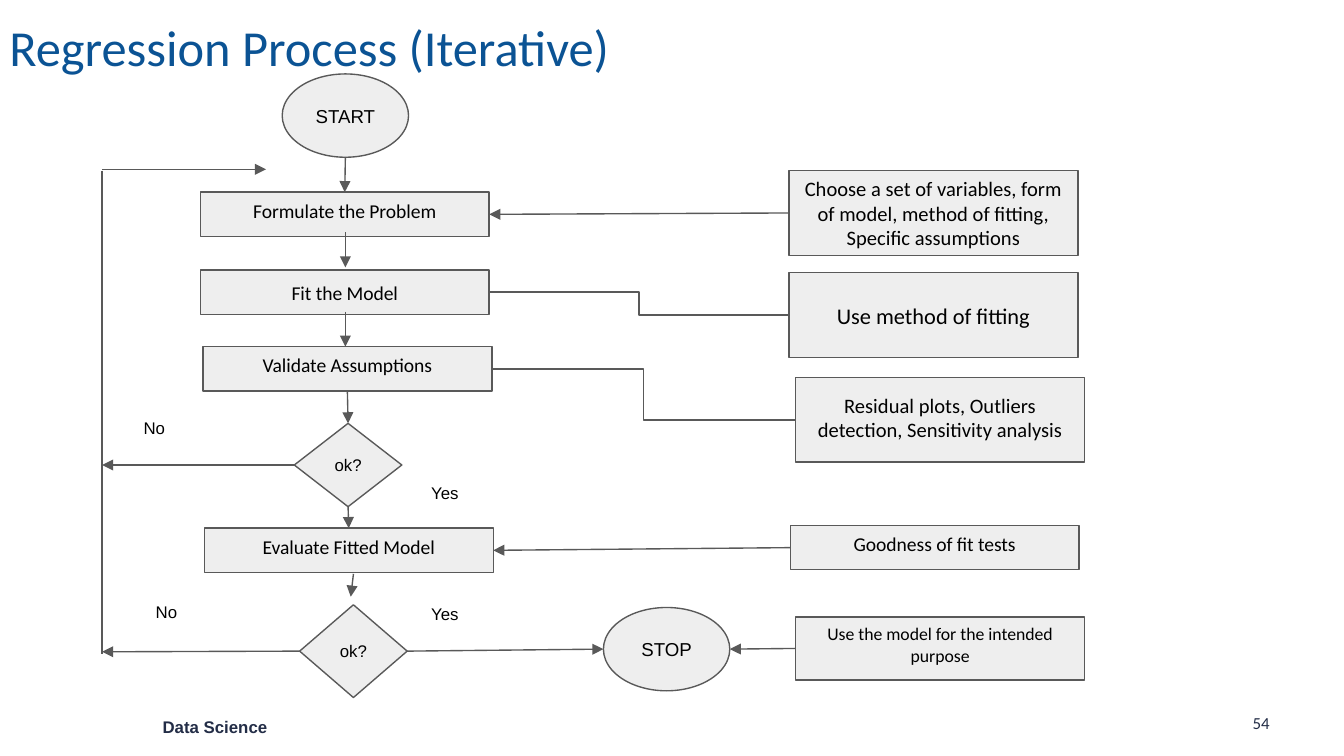
from pptx import Presentation
from pptx.dml.color import RGBColor
from pptx.enum.shapes import MSO_CONNECTOR as Connector, MSO_SHAPE as Shape
from pptx.enum.text import MSO_ANCHOR as Anchor, MSO_AUTO_SIZE as AutoSize, PP_ALIGN as Align
from pptx.oxml.ns import qn
from pptx.util import Inches, Pt
from lxml.etree import SubElement

TITLE = "Regression Process (Iterative)"
BLACK, GRAY, PALE, BLUE, NAVY = "000000", "595959", "EEEEEE", "0B5394", "232D47"
STEP, NOTE, ROUND = (2.15, 0.33), (2.15, 0.63), (0.94, 0.62)
LOOP_X, FLOW_X = 0.76, 2.57

# name: preset, text, left, top, (width, height), font, size, upward text shift
NODES = {
    "start": (Shape.OVAL, "START", 2.1, 0.55, ROUND, "Arial", 10, 0),
    "formulate": (Shape.RECTANGLE, "Formulate the Problem", 1.49, 1.43, STEP, "Calibri", 10.5, 0.03),
    "fit": (Shape.RECTANGLE, "Fit the Model", 1.49, 2.01, STEP, "Calibri", 10.5, 0),
    "validate": (Shape.RECTANGLE, "Validate Assumptions", 1.51, 2.58, STEP, "Calibri", 10.5, 0.03),
    "valid": (Shape.DIAMOND, "ok?", 2.19, 3.15, (0.8, 0.62), "Arial", 9, 0),
    "evaluate": (Shape.RECTANGLE, "Evaluate Fitted Model", 1.52, 3.93, STEP, "Calibri", 10.5, 0.03),
    "good": (Shape.DIAMOND, "ok?", 2.23, 4.5, (0.8, 0.69), "Arial", 9, 0),
    "stop": (Shape.OVAL, "STOP", 4.49, 4.52, ROUND, "Arial", 10, 0),
    "choices": (Shape.RECTANGLE,
                "Choose a set of variables, form of model, method of fitting, Specific assumptions",
                5.87, 1.27, NOTE, "Calibri", 11, 0),
    "method": (Shape.RECTANGLE, "Use method of fitting", 5.87, 2.03, NOTE, "Calibri", 12, 0),
    "checks": (Shape.RECTANGLE, "Residual plots, Outliers detection, Sensitivity analysis",
               5.92, 2.81, NOTE, "Calibri", 11, 0.02),
    "tests": (Shape.RECTANGLE, "Goodness of fit tests", 5.88, 3.91, STEP, "Calibri", 10.5, 0.03),
    "use": (Shape.RECTANGLE, "Use the model for the intended purpose",
            5.92, 4.59, (2.15, 0.47), "Calibri", 9.5, 0.03),
}
ARROWS = [
    (("start", "bottom"), ("formulate", "top")),
    ((FLOW_X, 1.73), (FLOW_X, 1.99)),
    ((FLOW_X, 2.32), (FLOW_X, 2.58)),
    (("validate", "bottom"), ("valid", "top")),
    (("valid", "bottom"), ("evaluate", "top")),
    ((2.63, 4.27), (2.61, 4.44)),
    (("good", "right"), ("stop", "left")),
    (("choices", "left"), ("formulate", "right")),
    (("tests", "left"), ("evaluate", "right")),
    (("use", "left"), ("stop", "right")),
    (("valid", "left"), (LOOP_X, 3.46)),
    (("good", "left"), (LOOP_X, 4.85)),
    ((LOOP_X, 1.26), (1.98, 1.26)),
]
ELBOWS = [(("method", "left"), ("fit", "right")), (("checks", "left"), ("validate", "right"))]
LABELS = [("Yes", 3.11, 3.51), ("Yes", 3.11, 4.41), ("No", 1.06, 4.4), ("No", 0.97, 3.03)]
SIDES = {"top": (0.5, 0), "bottom": (0.5, 1), "left": (0, 0.5), "right": (1, 0.5)}


def color(value):
    return RGBColor.from_string(value)


def format_text(shape, text, font, size, ink, insets, align=Align.LEFT, anchor=Anchor.TOP, bold=False):
    frame = shape.text_frame
    frame.text = text
    frame.word_wrap = True
    frame.auto_size = AutoSize.NONE
    frame.vertical_anchor = anchor
    frame.margin_left, frame.margin_top, frame.margin_right, frame.margin_bottom = map(Inches, insets)
    paragraph = frame.paragraphs[0]
    paragraph.alignment = align
    run_font = paragraph.runs[0].font
    run_font.name, run_font.size, run_font.bold = font, Pt(size), bold
    run_font.color.rgb = color(ink)
    return paragraph


def add_node(slide, preset, text, left, top, size, font, points, shift):
    shape = slide.shapes.add_shape(preset, *map(Inches, (left, top, *size)))
    shape.shadow.inherit = False
    shape.fill.solid()
    shape.fill.fore_color.rgb = color(PALE)
    shape.line.color.rgb = color(GRAY)
    shape.line.width = Pt(0.75)
    side = 0.1 if preset == Shape.RECTANGLE else 0
    format_text(shape, text, font, points, BLACK, (side, 0, side, 2 * shift), Align.CENTER, Anchor.MIDDLE)


def add_label(slide, text, left, top, width, height, font, size, ink, insets, bold=False):
    box = slide.shapes.add_textbox(*map(Inches, (left, top, width, height)))
    format_text(box, text, font, size, ink, insets, bold=bold)


def locate(end):
    name, side = end
    if name not in NODES:
        return end
    left, top, (width, height) = NODES[name][2:5]
    across, down = SIDES[side]
    return left + across * width, top + down * height


def add_link(slide, begin, end, kind=Connector.STRAIGHT, arrow=False):
    points = map(Inches, (*locate(begin), *locate(end)))
    connector = slide.shapes.add_connector(kind, *points)
    connector.line.color.rgb = color(GRAY)
    connector.line.width = Pt(0.75)
    properties = connector._element.spPr
    if arrow:
        SubElement(properties.find(qn("a:ln")), qn("a:tailEnd"), type="triangle")
    SubElement(properties, qn("a:effectLst"))


def main():
    presentation = Presentation()
    presentation.slide_width = Inches(10)
    presentation.slide_height = presentation.slide_width * 9 // 16
    slide = presentation.slides.add_slide(presentation.slide_layouts[5])

    title = slide.shapes.title
    title.left, title.top, title.width, title.height = map(Inches, (0, 0.06, 9.32, 0.63))
    small_insets = (0.07, 0.04, 0.07, 0.04)
    heading = format_text(title, TITLE, "Calibri", 27, BLUE, small_insets, anchor=Anchor.MIDDLE)
    heading.line_spacing = 0.9

    for node in NODES.values():
        add_node(slide, *node)
    for begin, end in ARROWS:
        add_link(slide, begin, end, arrow=True)
    for begin, end in ELBOWS:
        add_link(slide, begin, end, Connector.ELBOW)
    add_link(slide, (LOOP_X, 1.27), (LOOP_X, 4.87))

    for text, left, top in LABELS:
        add_label(slide, text, left, top, 0.55, 0.35, "Arial", 9, BLACK, (0.1, 0.08, 0.1, 0.1))
    add_label(slide, "Data Science", 1.14, 5.29, 1.64, 0.23, "Arial", 9, NAVY, small_insets, bold=True)
    add_label(slide, "54", 9.25, 5.26, 0.5, 0.23, "Calibri", 9, NAVY, small_insets)
    presentation.save("out.pptx")


if __name__ == "__main__":
    main()
